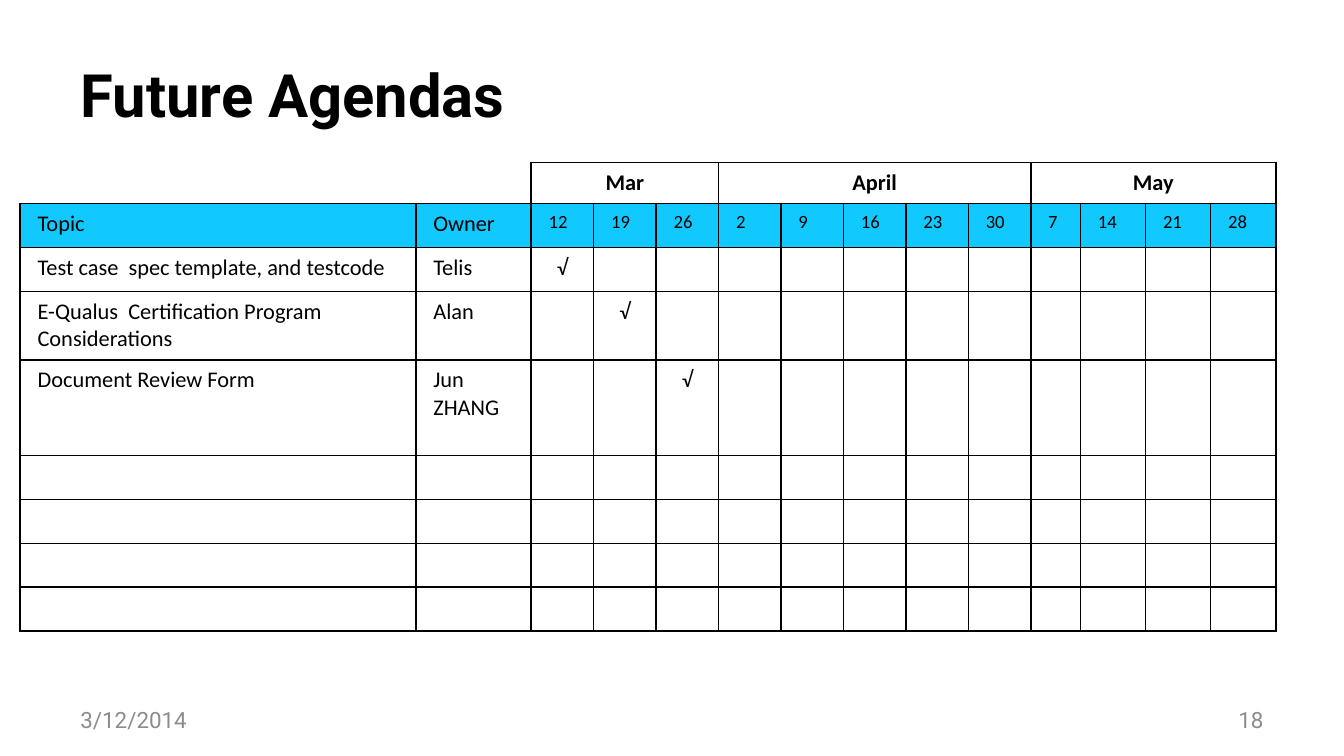
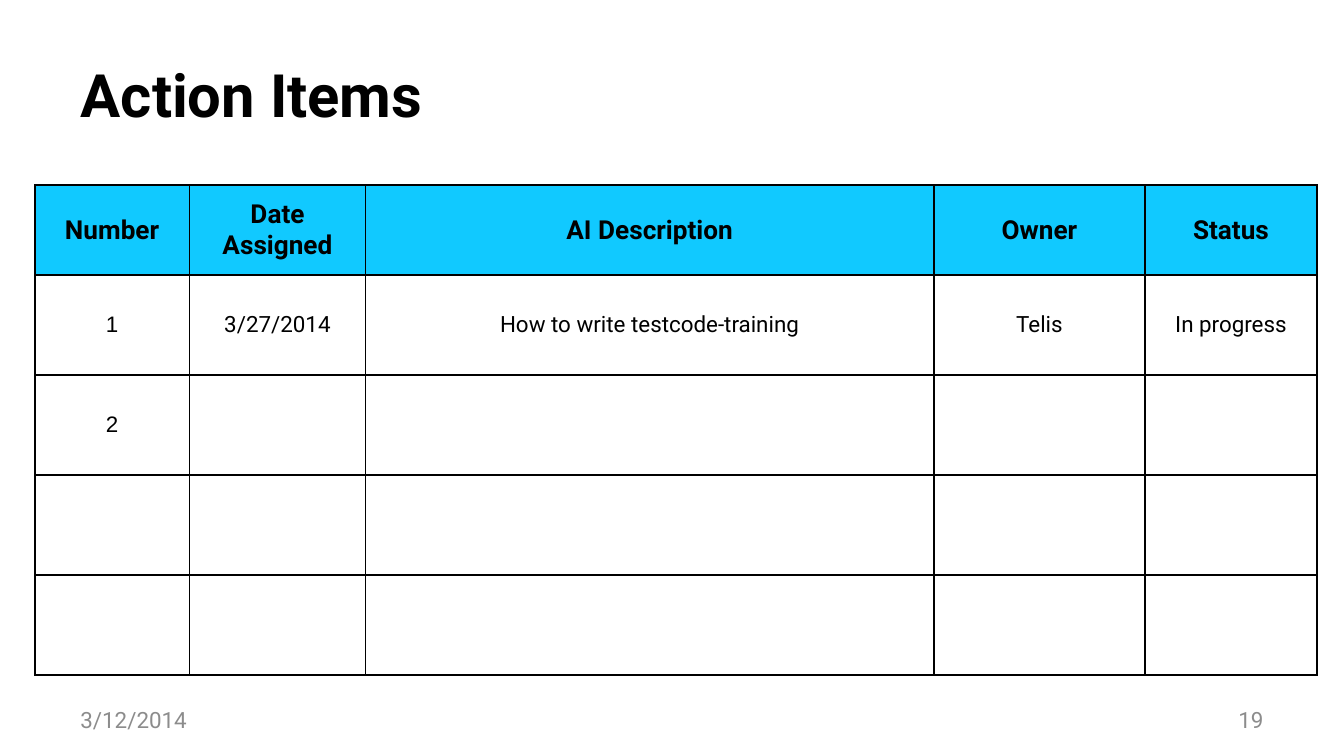
import pptx
import pptx.dml.color
import pptx.enum.text
import pptx.oxml.ns
import pptx.util
from lxml import etree

Cm = pptx.util.Cm
Pt = pptx.util.Pt
ALIGN = pptx.enum.text.PP_ALIGN
ANCHOR = pptx.enum.text.MSO_ANCHOR
TICK = "√"


def color(value):
    return pptx.dml.color.RGBColor.from_string(value)


def write(frame, text, size=12, font="Roboto", ink="000000", bold=False, align=ALIGN.LEFT):
    """Fill the first paragraph of a text frame."""
    paragraph = frame.paragraphs[0]
    paragraph.alignment = align
    if not text:
        # Keeps empty rows from growing to the default text size
        end = etree.SubElement(paragraph._p, pptx.oxml.ns.qn("a:endParaRPr"))
        end.set("sz", str(size * 100))
        return
    run = paragraph.add_run()
    run.text = text
    run.font.size = Pt(size)
    run.font.name = font
    run.font.bold = bold
    run.font.color.rgb = color(ink)


def set_borders(cell, sides, ink="000000", width=1):
    """Draw the named sides (L, R, T, B) and clear the others."""
    properties = cell._tc.get_or_add_tcPr()
    for side in "LRTB":
        line = etree.SubElement(properties, pptx.oxml.ns.qn("a:ln" + side))
        line.set("w", str(Pt(width)))
        if side in sides:
            fill = etree.SubElement(line, pptx.oxml.ns.qn("a:solidFill"))
            etree.SubElement(fill, pptx.oxml.ns.qn("a:srgbClr")).set("val", ink)
        else:
            etree.SubElement(line, pptx.oxml.ns.qn("a:noFill"))


class Deck:
    header_fill = "11C9FF"
    month_fill = "FFFFFF"
    footer_ink = "8C8C8C"
    date = "3/12/2014"

    def __init__(self):
        self.presentation = pptx.Presentation()
        self.presentation.slide_width = Cm(25.4)
        self.presentation.slide_height = Cm(14.29)
        self.slide = None

    def add_slide(self, title, number):
        self.slide = self.presentation.slides.add_slide(self.presentation.slide_layouts[5])
        shape = self.slide.shapes.title
        shape.left, shape.top, shape.width, shape.height = Cm(1.27), Cm(0.58), Cm(22.86), Cm(2.39)
        frame = shape.text_frame
        frame.auto_size = pptx.enum.text.MSO_AUTO_SIZE.NONE
        frame.vertical_anchor = ANCHOR.MIDDLE
        write(frame, title, size=32, bold=True)
        self.footer(18.21, str(number), ALIGN.RIGHT)
        self.footer(1.27, self.date, ALIGN.LEFT)

    def footer(self, left, text, align):
        shape = self.slide.shapes.add_textbox(Cm(left), Cm(13.23), Cm(5.92), Cm(0.76))
        shape.text_frame.word_wrap = True
        shape.text_frame.vertical_anchor = ANCHOR.MIDDLE
        write(shape.text_frame, text, ink=self.footer_ink, align=align)

    def table(self, left, top, widths, heights):
        table = self.slide.shapes.add_table(
            len(heights), len(widths), Cm(left), Cm(top), Cm(sum(widths)), Cm(sum(heights))
        ).table
        table.first_row = table.horz_banding = False
        for column, width in zip(table.columns, widths):
            column.width = Cm(width)
        for row, height in zip(table.rows, heights):
            row.height = Cm(height)
        return table

    def cell(self, cell, text, fill=None, sides="LRTB", anchor=ANCHOR.TOP, **text_format):
        cell.margin_left = cell.margin_right = Cm(0.33)
        cell.margin_top = cell.margin_bottom = Cm(0.13)
        cell.vertical_anchor = anchor
        set_borders(cell, sides)
        if fill:
            cell.fill.solid()
            cell.fill.fore_color.rgb = color(fill)
        else:
            cell.fill.background()
        write(cell.text_frame, text, **text_format)


def build_agendas(deck):
    deck.add_slide("Future Agendas", 18)
    months = {"Mar": [12, 19, 26], "April": [2, 9, 16, 23, 30], "May": [7, 14, 21, 28]}
    topics = [
        ("Test case  spec template, and testcode", "Telis"),
        ("E-Qualus  Certification Program Considerations", "Alan"),
        ("Document Review Form", "Jun ZHANG"),
    ]
    days = [str(day) for dates in months.values() for day in dates]
    widths = [7.48, 2.18] + [1.18] * 8 + [0.94] + [1.23] * 3
    heights = [0.78, 0.83, 0.83, 1.29, 1.81] + [0.83] * 4
    table = deck.table(0.38, 3.07, widths, heights)

    # Month row, with an open corner above the topics
    deck.cell(table.cell(0, 0), "", sides="B")
    deck.cell(table.cell(0, 1), "", sides="RB")
    first = 2
    for month, dates in months.items():
        last = first + len(dates) - 1
        for column in range(first, last + 1):
            deck.cell(table.cell(0, column), month if column == first else "", fill=deck.month_fill,
                      font="Calibri", bold=True, align=ALIGN.CENTER)
        table.cell(0, first).merge(table.cell(0, last))
        first = last + 1

    # Heading row
    for column, text in enumerate(["Topic", "Owner"] + days):
        deck.cell(table.cell(1, column), text, fill=deck.header_fill, font="Calibri",
                  size=12 if column < 2 else 10)

    # Each topic is ticked one week after the one above
    for index in range(len(heights) - 2):
        texts = [""] * len(widths)
        if index < len(topics):
            texts[:2] = topics[index]
            texts[2 + index] = TICK
        for column, text in enumerate(texts):
            deck.cell(table.cell(index + 2, column), text, font="Calibri",
                      align=ALIGN.CENTER if text == TICK else ALIGN.LEFT)


def build_actions(deck):
    deck.add_slide("Action Items", 19)
    rows = [
        ["Number", "Date Assigned", "AI Description", "Owner", "Status"],
        ["1", "3/27/2014", "How to write testcode-training", "Telis", "In progress"],
        ["2", "", "", "", ""],
        [""] * 5,
        [""] * 5,
    ]
    table = deck.table(0.66, 3.5, [2.92, 3.33, 10.74, 3.99, 3.25], [1.7] + [1.89] * 4)
    for row, texts in enumerate(rows):
        heading = row == 0
        for column, text in enumerate(texts):
            deck.cell(table.cell(row, column), text, fill=deck.header_fill if heading else None,
                      anchor=ANCHOR.MIDDLE, align=ALIGN.CENTER, bold=heading,
                      size=14 if heading else 12,
                      font="Arial" if column == 0 and not heading else "Roboto")


def main():
    deck = Deck()
    build_agendas(deck)
    build_actions(deck)
    deck.presentation.save("out.pptx")


if __name__ == "__main__":
    main()
